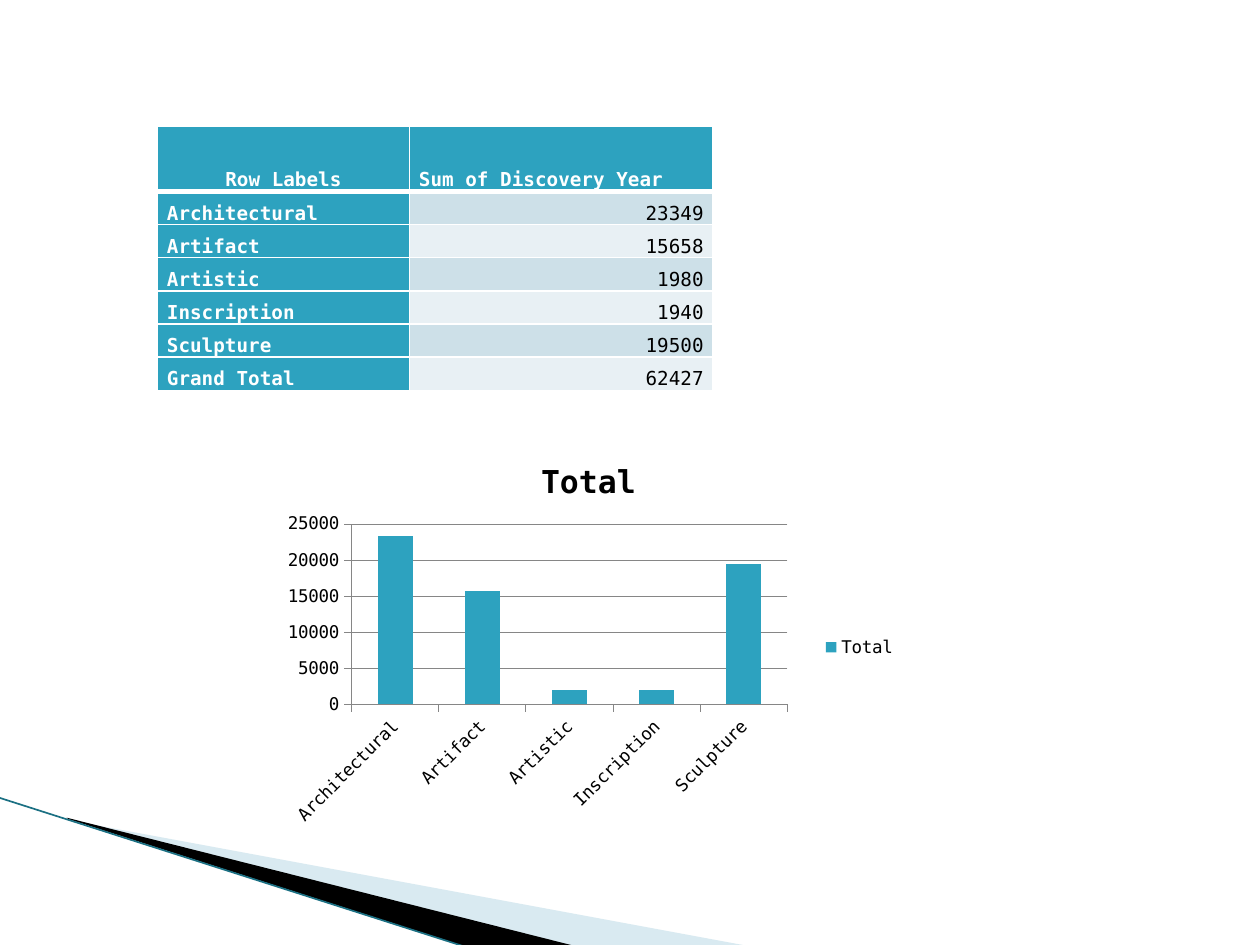
from lxml import etree
from pptx import Presentation
from pptx.chart.data import CategoryChartData
from pptx.dml.color import RGBColor
from pptx.enum.chart import XL_CHART_TYPE, XL_LEGEND_POSITION, XL_TICK_MARK
from pptx.enum.shapes import MSO_CONNECTOR
from pptx.enum.text import MSO_ANCHOR, PP_ALIGN
from pptx.oxml import parse_xml
from pptx.oxml.ns import nsdecls, qn
from pptx.util import Inches, Pt

COLUMN = XL_CHART_TYPE.COLUMN_CLUSTERED
LEGEND_RIGHT = XL_LEGEND_POSITION.RIGHT
TICK_OUT = XL_TICK_MARK.OUTSIDE
STRAIGHT = MSO_CONNECTOR.STRAIGHT
BOTTOM = MSO_ANCHOR.BOTTOM
LEFT, CENTER, RIGHT = PP_ALIGN.LEFT, PP_ALIGN.CENTER, PP_ALIGN.RIGHT

FONT = "DejaVu Sans Mono"
TEAL, WHITE, BLACK, GRAY = "2DA2BF", "FFFFFF", "000000", "868686"
BANDS = ["CDE0E8", "E8F0F4"]

CHART_W, CHART_H = 5, 3.07
TABLE_H, HEADER_H = 2.1, 0.52

HEADERS = ["Row Labels", "Sum of Discovery Year"]
YEAR_SUMS = {
    "Architectural": 23349,
    "Artifact": 15658,
    "Artistic": 1980,
    "Inscription": 1940,
    "Sculpture": 19500,
}


def rgb(color):
    return RGBColor.from_string(color)


def set_font(font, size, color=BLACK, bold=False):
    font.name = FONT
    font.size = Pt(size)
    font.bold = bold
    font.color.rgb = rgb(color)


def write_text(tf, text, size=11, color=BLACK, bold=False, align=LEFT, spacing=None):
    p = tf.paragraphs[0]
    p.alignment = align
    if spacing:
        p.line_spacing = spacing
    r = p.add_run()
    r.text = text
    set_font(r.font, size, color, bold)


def set_line(line, color, width):
    line.color.rgb = rgb(color)
    line.width = Pt(width)


def add_wedge(slide, points, color, opacity=None):
    (x, y), *rest = [(Inches(px), Inches(py)) for px, py in points]
    builder = slide.shapes.build_freeform(x, y)
    builder.add_line_segments(rest, close=True)
    sp = builder.convert_to_shape()
    sp.shadow.inherit = False
    sp.fill.solid()
    sp.fill.fore_color.rgb = rgb(color)
    sp.line.fill.background()
    if opacity:
        clr = sp._element.spPr.find(".//" + qn("a:srgbClr"))
        etree.SubElement(clr, qn("a:alpha"), val=str(opacity * 1000))


def add_line(slide, start, end, color, width):
    x1, y1, x2, y2 = map(Inches, (*start, *end))
    connector = slide.shapes.add_connector(STRAIGHT, x1, y1, x2, y2)
    set_line(connector.line, color, width)
    etree.SubElement(connector._element.spPr, qn("a:effectLst"))


def set_borders(cell, top=1, bottom=1):
    tcPr = cell._tc.get_or_add_tcPr()
    for side, width in (("L", 1), ("R", 1), ("T", top), ("B", bottom)):
        tcPr.append(parse_xml(
            f'<a:ln{side} {nsdecls("a")} w="{Pt(width)}"><a:solidFill>'
            f'<a:srgbClr val="{WHITE}"/></a:solidFill></a:ln{side}>'))


def fill_cell(cell, text, fill, top=1, bottom=1, **text_format):
    set_borders(cell, top, bottom)
    cell.fill.solid()
    cell.fill.fore_color.rgb = rgb(fill)
    cell.vertical_anchor = BOTTOM
    cell.margin_left = cell.margin_right = Pt(5.4)
    cell.margin_top = cell.margin_bottom = 0
    write_text(cell.text_frame, text, spacing=1.15, **text_format)


def add_sums_table(slide):
    rows = [*YEAR_SUMS.items(), ("Grand Total", sum(YEAR_SUMS.values()))]
    frame = slide.shapes.add_table(len(rows) + 1, 2, Inches(1.25), Inches(1),
                                   Inches(4.41), Inches(TABLE_H))
    table = frame.table
    for column, width in zip(table.columns, (2, 2.41)):
        column.width = Inches(width)
    body_height = (TABLE_H - HEADER_H) / len(rows)
    for i, row in enumerate(table.rows):
        row.height = Inches(body_height if i else HEADER_H)

    for col, (header, align) in enumerate(zip(HEADERS, (CENTER, LEFT))):
        fill_cell(table.cell(0, col), header, TEAL, bottom=3,
                  color=WHITE, bold=True, align=align)
    for i, (label, total) in enumerate(rows, start=1):
        top = 3 if i == 1 else 1
        fill_cell(table.cell(i, 0), label, TEAL, top=top, color=WHITE, bold=True)
        fill_cell(table.cell(i, 1), str(total), BANDS[(i - 1) % 2], top=top, align=RIGHT)


def manual_layout(x, y, w=None, h=None):
    """Layout for a chart part, from inches within the chart; w and h mean an inner plot."""
    target = '<c:layoutTarget val="inner"/>' if w else ""
    size = f'<c:w val="{w / CHART_W}"/><c:h val="{h / CHART_H}"/>' if w else ""
    return parse_xml(
        f'<c:layout {nsdecls("c")}><c:manualLayout>{target}'
        f'<c:xMode val="edge"/><c:yMode val="edge"/>'
        f'<c:x val="{x / CHART_W}"/><c:y val="{y / CHART_H}"/>{size}'
        f'</c:manualLayout></c:layout>')


def place_chart_parts(chart):
    plot_area = chart._chartSpace.chart.plotArea
    legend = chart.legend._element
    for part in (plot_area, legend):
        for old in part.findall(qn("c:layout")):
            part.remove(old)
    plot_area.insert(0, manual_layout(0.62, 0.66, 3.46, 1.43))
    legend.find(qn("c:legendPos")).addnext(manual_layout(4.34, 1.52))


def add_sums_chart(slide):
    data = CategoryChartData()
    data.categories = list(YEAR_SUMS)
    data.add_series("Total", [round(total, -2) for total in YEAR_SUMS.values()])
    chart = slide.shapes.add_chart(COLUMN, Inches(2.17), Inches(3.5),
                                   Inches(CHART_W), Inches(CHART_H), data).chart
    set_font(chart.font, 10)
    chart.has_title = True
    write_text(chart.chart_title.text_frame, "Total", size=18, bold=True, align=CENTER)
    chart.has_legend = True
    chart.legend.position = LEGEND_RIGHT
    chart.legend.include_in_layout = False

    plot = chart.plots[0]
    plot.gap_width = 150
    plot.vary_by_categories = False
    series = plot.series[0]
    series.format.fill.solid()
    series.format.fill.fore_color.rgb = rgb(TEAL)

    value_axis = chart.value_axis
    value_axis.minimum_scale, value_axis.maximum_scale = 0, 25000
    value_axis.major_unit = 5000
    value_axis.has_major_gridlines = True
    for axis in (chart.category_axis, value_axis):
        axis.major_tick_mark = TICK_OUT
        set_line(axis.format.line, GRAY, 0.5)
    set_line(value_axis.major_gridlines.format.line, GRAY, 0.5)
    place_chart_parts(chart)


def main():
    prs = Presentation()
    prs.slide_width, prs.slide_height = Inches(10), Inches(7.5)
    slide = prs.slides.add_slide(prs.slide_layouts[6])
    add_wedge(slide, [(0.55, 6.51), (5.95, 7.51), (4.56, 7.51), (0.55, 6.5)],
              "A0CBDC", opacity=40)
    add_wedge(slide, [(0.53, 6.49), (4.57, 7.51), (3.72, 7.52), (0.54, 6.5)], BLACK)
    add_line(slide, (-0.01, 6.33), (3.71, 7.52), "1B7083", 0.95)
    add_sums_table(slide)
    add_sums_chart(slide)
    prs.save("out.pptx")


if __name__ == "__main__":
    main()
